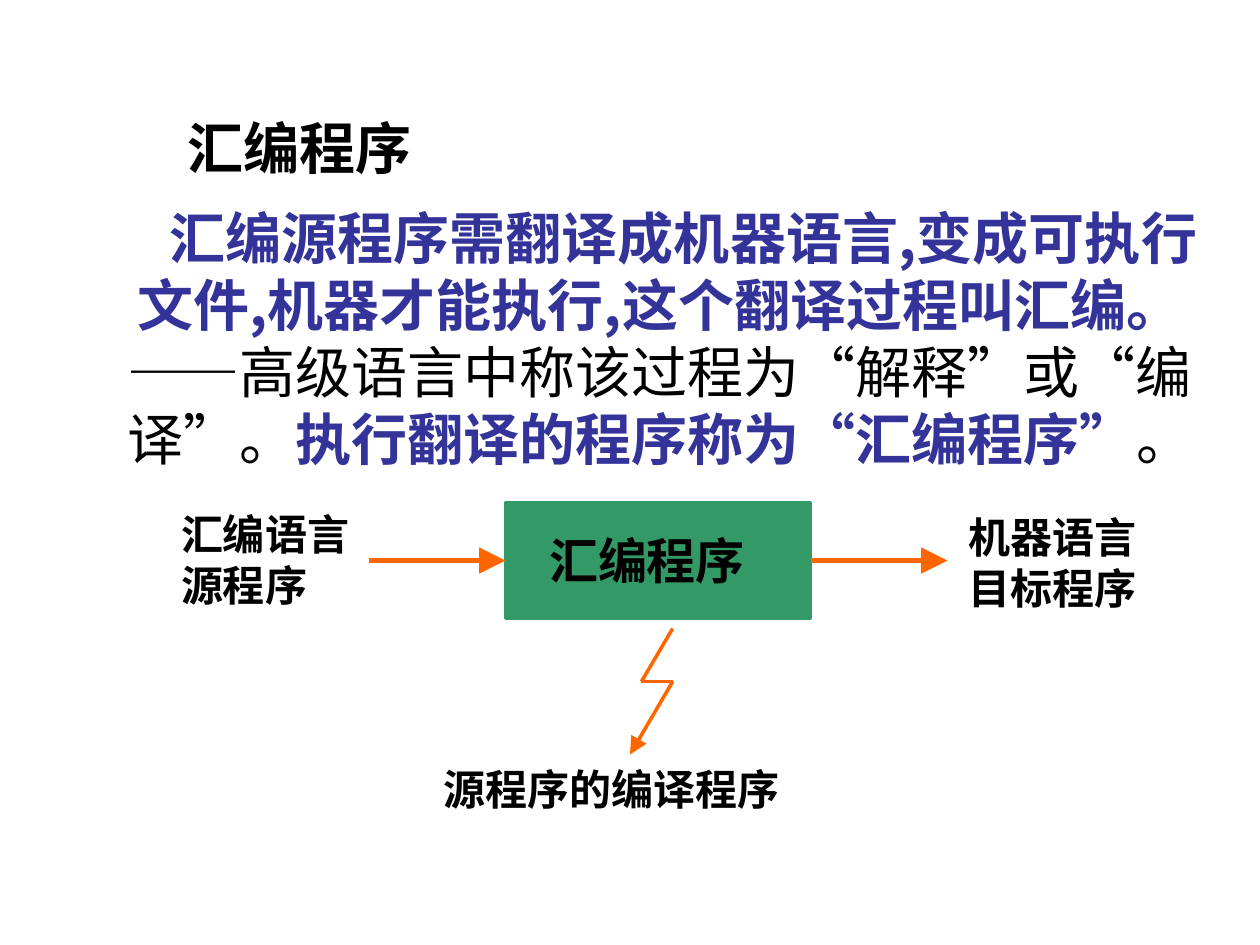
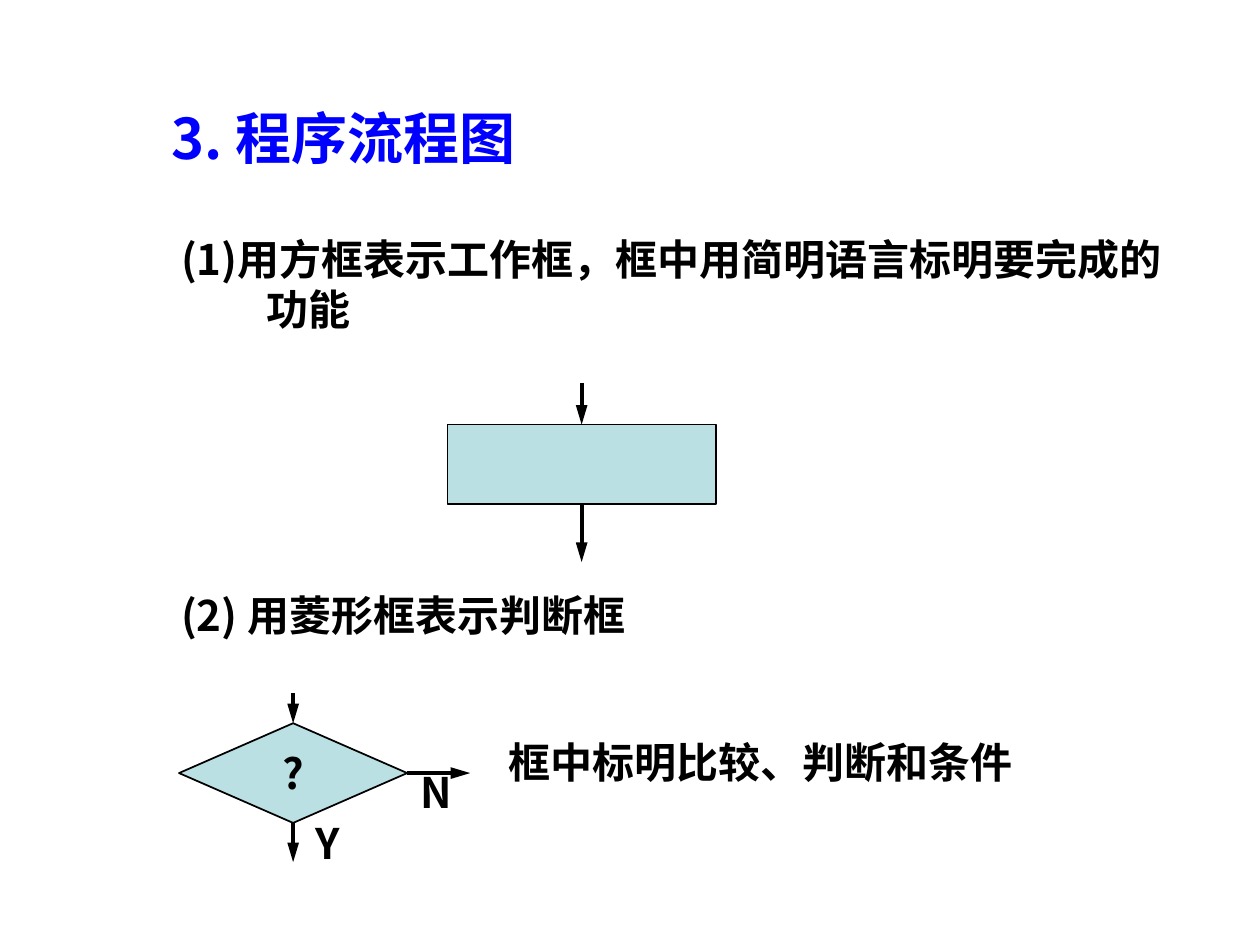
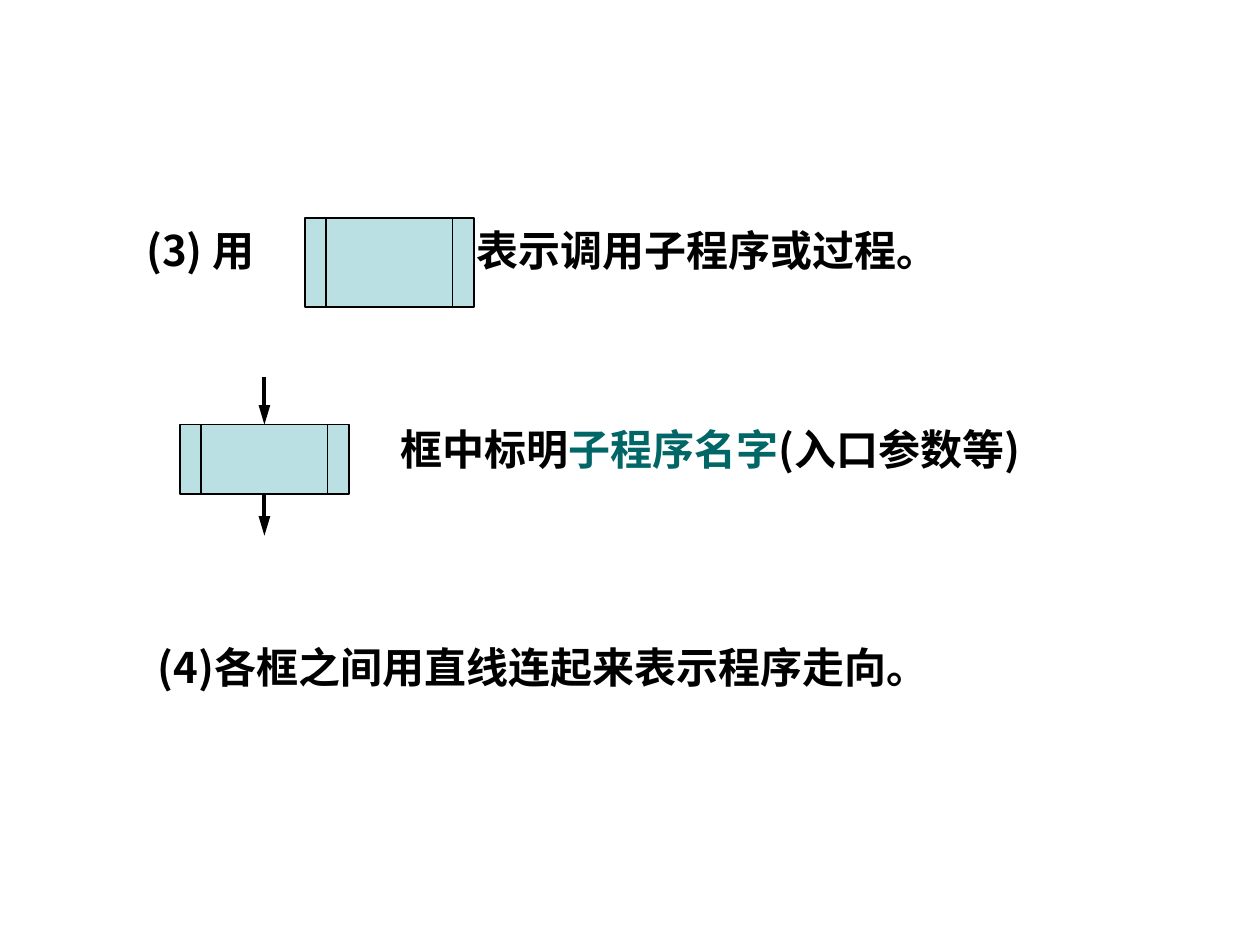
import dataclasses

import pptx
import pptx.dml.color
import pptx.enum.shapes
import pptx.enum.text
import pptx.oxml
import pptx.oxml.ns
import pptx.util
from pptx.util import Cm

SHAPE = pptx.enum.shapes.MSO_SHAPE
ANCHOR = pptx.enum.text.MSO_ANCHOR
ALIGN = pptx.enum.text.PP_ALIGN
TOP, LEFT, BOTTOM, RIGHT = range(4)
DIRECTIONS = {TOP: (0, -1), LEFT: (-1, 0), BOTTOM: (0, 1), RIGHT: (1, 0)}


@dataclasses.dataclass(frozen=True)
class Theme:
    ink: str = "000000"
    heading: str = "0000FF"
    emphasis: str = "333399"
    keyword: str = "006666"
    machine: str = "339966"
    flow: str = "FF6600"
    box: str = "BBE0E3"
    title_size: int = 32
    label_size: int = 28
    body_size: int = 24
    sans: str = "Noto Sans CJK SC"
    serif: str = "Times New Roman"
    label_font: str = "Arial"


def rgb(value):
    return pptx.dml.color.RGBColor.from_string(value)


def add_element(parent, tag, **attributes):
    element = pptx.oxml.parse_xml(f"<a:{tag} {pptx.oxml.ns.nsdecls('a')}/>")
    for name, value in attributes.items():
        element.set(name, value)
    parent.append(element)


def write(frame, *parts, size, font, color, bold=True, align=ALIGN.LEFT,
          anchor=ANCHOR.TOP, wrap=True, margin_left=0.25, margin_top=0.13,
          hanging=0, first_line=0):
    frame.auto_size = pptx.enum.text.MSO_AUTO_SIZE.NONE
    frame.word_wrap = wrap
    frame.vertical_anchor = anchor
    frame.margin_left, frame.margin_right = Cm(margin_left), Cm(0.25)
    frame.margin_top, frame.margin_bottom = Cm(margin_top), Cm(0.13)
    paragraph = frame.paragraphs[0]
    paragraph.alignment = align
    properties = paragraph._p.get_or_add_pPr()
    properties.set("marL", str(Cm(hanging)))
    properties.set("indent", str(Cm(first_line - hanging)))
    for part in parts:
        text, changes = part if isinstance(part, tuple) else (part, {})
        run = paragraph.add_run()
        run.text = text
        run.font.size = pptx.util.Pt(size)
        run.font.name = font
        run.font.bold = changes.get("bold", bold)
        run.font.color.rgb = rgb(changes.get("color", color))
        add_element(run._r.get_or_add_rPr(), "ea", typeface=Theme.sans)


class Deck:
    def __init__(self, theme):
        self.theme = theme
        self.presentation = pptx.Presentation()
        self.presentation.slide_width = Cm(25.4)
        self.presentation.slide_height = Cm(19.05)
        self.slide = None

    def start_slide(self, titled=True):
        layout = self.presentation.slide_layouts[5 if titled else 6]
        self.slide = self.presentation.slides.add_slide(layout)

    def format(self, changes):
        return {"size": self.theme.body_size, "font": self.theme.sans,
                "color": self.theme.ink, **changes}

    def title(self, place, text, **changes):
        heading = self.slide.shapes.title
        heading.left, heading.top, heading.width, heading.height = map(Cm, place)
        write(heading.text_frame, text,
              **self.format({"size": self.theme.title_size, **changes}))

    def text(self, place, *parts, **changes):
        box = self.slide.shapes.add_textbox(*map(Cm, place))
        write(box.text_frame, *parts, **self.format(changes))

    def shape(self, kind, place, fill, line, width=1, text=None):
        shape = self.slide.shapes.add_shape(kind, *map(Cm, place))
        shape.shadow.inherit = False
        shape.fill.solid()
        shape.fill.fore_color.rgb = rgb(fill)
        shape.line.color.rgb = rgb(line)
        shape.line.width = pptx.util.Pt(width)
        if text:
            write(shape.text_frame, text, **self.format(
                {"align": ALIGN.CENTER, "anchor": ANCHOR.MIDDLE, "wrap": False}))
        return shape

    def flow_box(self, kind, place, text=None):
        return self.shape(kind, place, self.theme.box, self.theme.ink, text=text)

    def line(self, start, end, color, width, head=None):
        connector = self.slide.shapes.add_connector(
            pptx.enum.shapes.MSO_CONNECTOR.STRAIGHT, *start, *end)
        connector.line.color.rgb = rgb(color)
        connector.line.width = pptx.util.Pt(width)
        if head:
            add_element(connector.line._get_or_add_ln(), "tailEnd",
                        type="triangle", w=head, len="lg")
        add_element(connector._element.spPr, "effectLst")
        return connector

    def arrow(self, shape, side, length, outward, color=None, width=2.25, head="med"):
        across, down = DIRECTIONS[side]
        near = (shape.left + shape.width * (1 + across) // 2,
                shape.top + shape.height * (1 + down) // 2)
        far = (near[0] + across * Cm(length), near[1] + down * Cm(length))
        start, end = (near, far) if outward else (far, near)
        connector = self.line(start, end, color or self.theme.ink, width, head)
        join = connector.begin_connect if outward else connector.end_connect
        join(shape, side)


def build_assembler(deck):
    theme = deck.theme
    deck.start_slide()
    deck.title((3.53, 1.73, 8.94, 2.46), "汇编程序",
               font=theme.serif, anchor=ANCHOR.MIDDLE)
    assembler = deck.shape(SHAPE.RECTANGLE, (10.19, 10.13, 6.15, 2.34),
                           theme.machine, theme.machine, 2)
    deck.text((10.82, 10.57, 5.28, 1.45), "汇编程序",
              size=theme.label_size, font=theme.label_font)
    for place, label in (((3.4, 10.13, 4.45, 2.29), "汇编语言源程序"),
                         ((19.28, 10.19, 4.65, 2.29), "机器语言目标程序"),
                         ((8.69, 15.27, 9.73, 1.27), "源程序的编译程序")):
        deck.text(place, label, font=theme.serif)
    for side, outward in ((LEFT, False), (RIGHT, True)):
        deck.arrow(assembler, side, 2.76, outward, theme.flow, 3, "lg")

    bolt = [(Cm(x), Cm(y)) for x, y in
            ((13.56, 12.67), (12.93, 13.74), (13.56, 13.74), (12.7, 15.21))]
    for start, end in zip(bolt, bolt[1:]):
        deck.line(start, end, theme.flow, 2, "lg" if end == bolt[-1] else None)

    strong = {"color": theme.emphasis}
    plain = {"bold": False}
    deck.text((2.18, 4.37, 22.25, 4.57),
              ("汇编源程序需翻译成机器语言,变成可执行文件,机器才能执行,这个翻译过程叫汇编。", strong),
              ("——高级语言中称该过程为“解释”或“编译”。", plain),
              ("执行翻译的程序称为“汇编程序”", strong),
              ("。", plain),
              size=theme.title_size, align=ALIGN.CENTER, anchor=ANCHOR.MIDDLE,
              first_line=0.95, margin_top=0.43)


def build_flowchart(deck):
    deck.start_slide()
    deck.title((3.2, 1.96, 19.2, 1.63), "3. 程序流程图", color=deck.theme.heading)
    deck.text((3.4, 4.57, 20.6, 3.18),
              "(1)用方框表示工作框，框中用简明语言标明要完成的功能", hanging=1.73)
    deck.text((3.4, 11.76, 20.32, 1.9), "(2) 用菱形框表示判断框")
    deck.text((10.01, 14.71, 14.17, 1.27), "框中标明比较、判断和条件")

    work = deck.flow_box(SHAPE.FLOWCHART_PROCESS, (9.02, 8.56, 5.41, 1.6))
    deck.arrow(work, TOP, 0.84, outward=False)
    deck.arrow(work, BOTTOM, 1.17, outward=True)

    decision = deck.flow_box(SHAPE.FLOWCHART_DECISION, (3.61, 14.58, 4.6, 2.01), "?")
    deck.arrow(decision, TOP, 0.61, outward=False)
    deck.arrow(decision, RIGHT, 1.27, outward=True)
    deck.arrow(decision, BOTTOM, 0.79, outward=True)
    deck.text((8.23, 15.32, 1.02, 1.27), "N", wrap=False)
    deck.text((6.12, 16.36, 1.02, 1.27), "Y", wrap=False)


def build_subroutine(deck):
    deck.start_slide(titled=False)
    deck.text((2.34, 4.39, 3.6, 1.8), "(3) 用", margin_left=0.61)
    deck.flow_box(SHAPE.FLOWCHART_PREDEFINED_PROCESS, (6.15, 4.39, 3.4, 1.8))
    deck.text((9.6, 4.39, 14.73, 1.8), "表示调用子程序或过程。", margin_left=0)
    deck.text((7.82, 8.41, 17.58, 1.27), "框中标明",
              ("子程序名字", {"color": deck.theme.keyword}), "(入口参数等)")
    deck.text((2.54, 12.8, 22.86, 1.8), "(4)各框之间用直线连起来表示程序走向。",
              margin_left=0.64)
    call = deck.flow_box(SHAPE.FLOWCHART_PREDEFINED_PROCESS, (3.63, 8.56, 3.4, 1.4))
    deck.arrow(call, TOP, 0.97, outward=False)
    deck.arrow(call, BOTTOM, 0.84, outward=True)


def main():
    deck = Deck(Theme())
    build_assembler(deck)
    build_flowchart(deck)
    build_subroutine(deck)
    deck.presentation.save("out.pptx")


if __name__ == "__main__":
    main()
